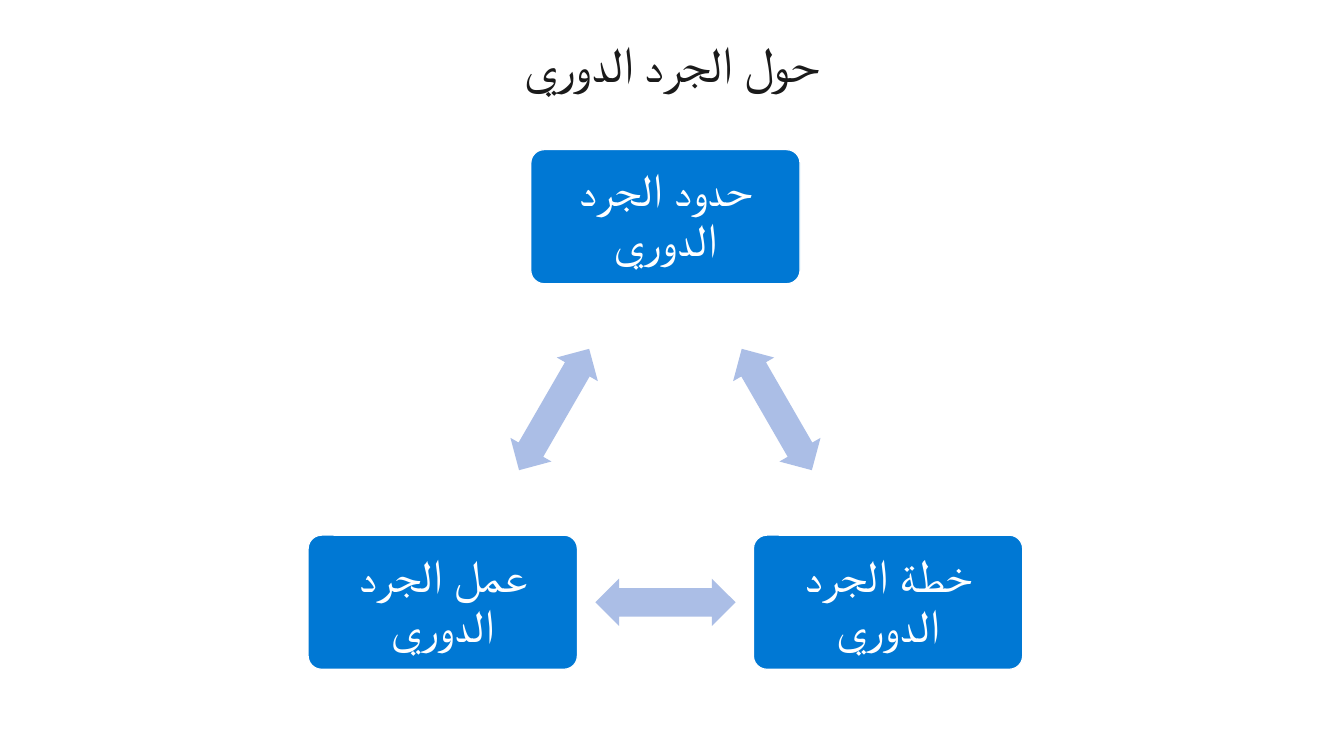
from dataclasses import dataclass
from math import cos, radians, sin

from lxml.etree import SubElement
from pptx import Presentation
from pptx.dml.color import RGBColor
from pptx.enum.shapes import MSO_SHAPE
from pptx.enum.text import MSO_ANCHOR, MSO_AUTO_SIZE, PP_ALIGN
from pptx.oxml.ns import qn
from pptx.util import Inches, Pt


@dataclass(frozen=True)
class Theme:
    """Colours, font and type sizes of the slide."""
    font: str = "Roboto"
    title_size: float = 36
    step_size: float = 33
    ink: RGBColor = RGBColor(0x1A, 0x1A, 0x1A)
    white: RGBColor = RGBColor(0xFF, 0xFF, 0xFF)
    step: RGBColor = RGBColor(0x00, 0x78, 0xD4)
    arrow: RGBColor = RGBColor(0xAB, 0xBE, 0xE6)


THEME = Theme()
STEPS = ["حدود الجرد الدوري", "خطة الجرد الدوري", "عمل الجرد الدوري"]
CENTER_X, CENTER_Y, RADIUS = 6.6, 4.7, 2.55
STEP_WIDTH, STEP_HEIGHT = 2.67, 1.33
ARROW_WIDTH, ARROW_HEIGHT = 1.39, 0.47


def write_text(frame, text, size, color, margin):
    """Fill a text frame with one centred paragraph and return it."""
    frame.text = text
    frame.word_wrap = True
    frame.auto_size = MSO_AUTO_SIZE.NONE
    frame.margin_left = frame.margin_right = Inches(margin)
    frame.margin_top = frame.margin_bottom = Inches(margin)
    paragraph = frame.paragraphs[0]
    paragraph.alignment = PP_ALIGN.CENTER
    font = paragraph.runs[0].font
    font.name, font.size = THEME.font, Pt(size)
    font.color.rgb = color
    SubElement(paragraph.runs[0].font._element, qn("a:cs"), typeface=THEME.font)
    return paragraph


def add_title(slide, text):
    """Place the right-to-left slide title."""
    title = slide.shapes.title
    title.left, title.top = Inches(0.29), Inches(0.32)
    title.width, title.height = Inches(12.74), Inches(0.61)
    heading = write_text(title.text_frame, text, THEME.title_size, THEME.ink, 0)
    title.text_frame.vertical_anchor = MSO_ANCHOR.TOP
    heading._p.get_or_add_pPr().set("rtl", "1")
    heading.runs[0].font._element.set("spc", "-50")


def add_centered(slide, preset, center, width, height, color):
    """Add a flat preset shape around a centre point."""
    x, y = center
    shape = slide.shapes.add_shape(
        preset, Inches(x - width / 2), Inches(y - height / 2),
        Inches(width), Inches(height))
    shape.shadow.inherit = False
    shape.fill.solid()
    shape.fill.fore_color.rgb = color
    shape.line.fill.background()
    return shape


def add_step(slide, center, text):
    """Add one labelled step of the cycle."""
    step = add_centered(slide, MSO_SHAPE.ROUNDED_RECTANGLE, center,
                        STEP_WIDTH, STEP_HEIGHT, THEME.step)
    step.adjustments[0] = 0.1
    step.line.color.rgb = THEME.white
    step.line.width = Pt(0.85)
    label = write_text(step.text_frame, text, THEME.step_size, THEME.white, 0.17)
    label.line_spacing = 0.9
    step.text_frame.vertical_anchor = MSO_ANCHOR.MIDDLE


def add_arrow(slide, start, end, angle):
    """Add a two-headed arrow midway between two steps."""
    middle = [(a + b) / 2 for a, b in zip(start, end)]
    arrow = add_centered(slide, MSO_SHAPE.LEFT_RIGHT_ARROW, middle,
                         ARROW_WIDTH, ARROW_HEIGHT, THEME.arrow)
    arrow.adjustments[0], arrow.adjustments[1] = 0.6, 0.5
    arrow.rotation = angle


def main():
    """Build the three-step cycle slide."""
    deck = Presentation()
    deck.slide_width, deck.slide_height = Inches(13.33), Inches(7.5)
    slide = deck.slides.add_slide(deck.slide_layouts[5])
    add_title(slide, "حول الجرد الدوري")
    turn = 360 / len(STEPS)
    centers = [(CENTER_X + RADIUS * sin(radians(i * turn)),
                CENTER_Y - RADIUS * cos(radians(i * turn)))
               for i in range(len(STEPS))]
    for i, text in enumerate(STEPS):
        add_step(slide, centers[i], text)
        add_arrow(slide, centers[i], centers[(i + 1) % len(STEPS)],
                  (i + 0.5) * turn)
    deck.save("out.pptx")


if __name__ == "__main__":
    main()
